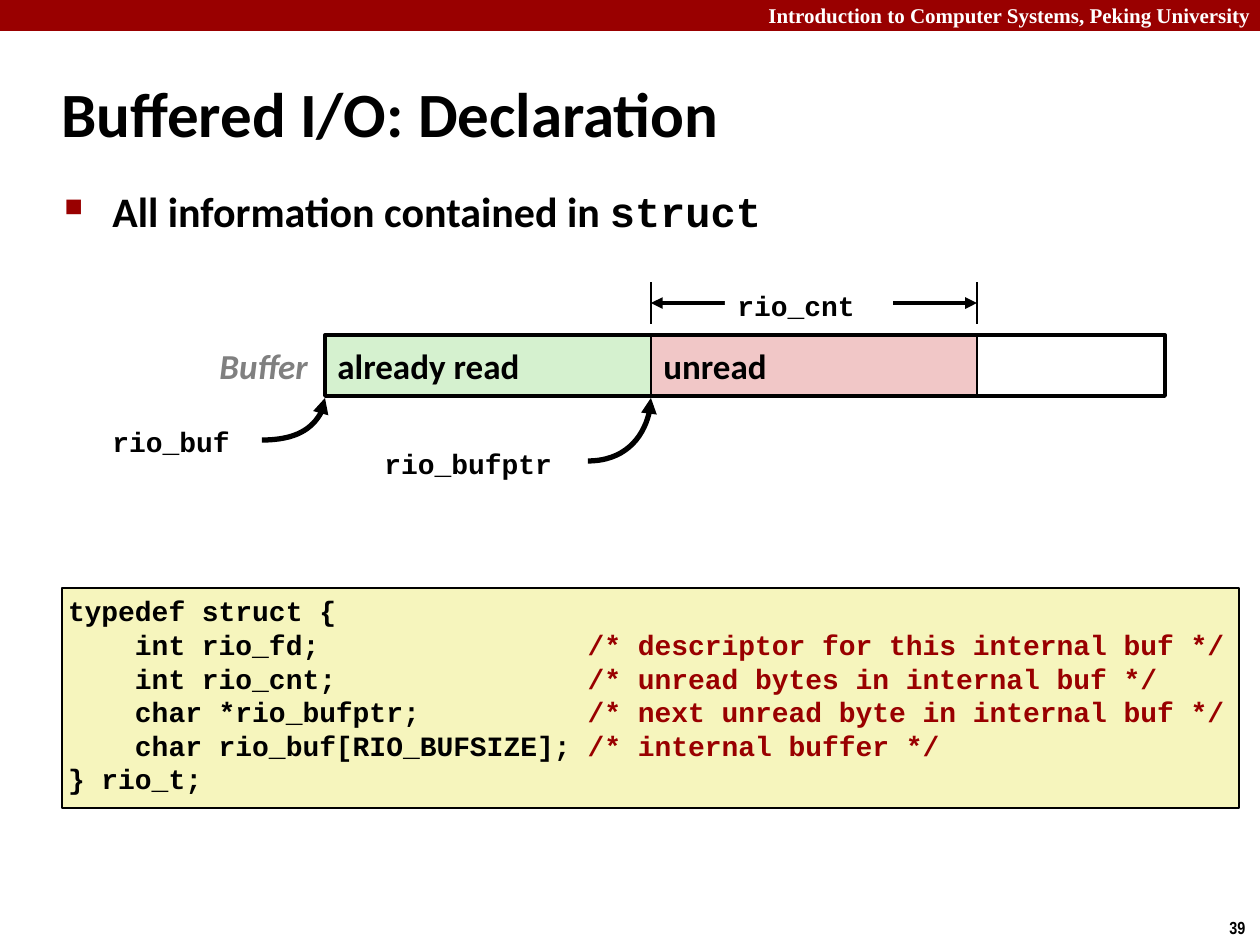
from dataclasses import dataclass

from lxml import etree
from pptx import Presentation
from pptx import util as u
from pptx.dml.color import RGBColor
from pptx.enum import shapes, text
from pptx.oxml.ns import qn


@dataclass(frozen=True)
class Theme:
    """Colours, fonts and type sizes of the slide."""
    red: str = "990000"
    black: str = "000000"
    white: str = "FFFFFF"
    grey: str = "808080"
    green: str = "D5F1CF"
    pink: str = "F1C7C7"
    cream: str = "F6F5BD"
    body: str = "Calibri"
    code: str = "Courier New"
    header: str = "Times New Roman"
    number: str = "Arial Narrow"
    title_size: int = 36
    bullet_size: int = 24
    label_size: int = 20
    code_size: int = 16
    header_size: int = 12
    number_size: int = 10


THEME = Theme()
RECTANGLE = shapes.MSO_SHAPE.RECTANGLE
BUFFER_LEFT, BUFFER_TOP, BUFFER_HEIGHT = 325, 335, 61
PART_WIDTH, BUFFER_WIDTH = 326, 840
UNREAD_LEFT = BUFFER_LEFT + PART_WIDTH
UNREAD_RIGHT = UNREAD_LEFT + PART_WIDTH
STRUCT_LINES = [
    ("typedef struct {", ""),
    ("    int rio_fd;", "/* descriptor for this internal buf */"),
    ("    int rio_cnt;", "/* unread bytes in internal buf */"),
    ("    char *rio_bufptr;", "/* next unread byte in internal buf */"),
    ("    char rio_buf[RIO_BUFSIZE];", "/* internal buffer */"),
    ("} rio_t;", ""),
]
COMMENT_COLUMN = 31


def px(length):
    """Turn a length in px into EMU."""
    return u.Emu(round(length * 914400 / 126))


def write(paragraph, words, font=THEME.body, size=THEME.label_size,
          color=THEME.black, italic=False):
    """Add one bold formatted run to a paragraph."""
    run = paragraph.add_run()
    run.text = words
    run.font.name = font
    run.font.size = u.Pt(size)
    run.font.bold = True
    run.font.italic = italic
    run.font.color.rgb = RGBColor.from_string(color)


def prepare_frame(shape, middle=False, wrap=True, inset=None):
    """Set up a text frame and return its first paragraph."""
    frame = shape.text_frame
    frame.word_wrap = wrap
    frame.vertical_anchor = text.MSO_ANCHOR.MIDDLE if middle else text.MSO_ANCHOR.TOP
    if inset is not None:
        frame.margin_left = frame.margin_right = px(inset)
        frame.margin_top = frame.margin_bottom = px(inset)
    paragraph = frame.paragraphs[0]
    paragraph.alignment = text.PP_ALIGN.LEFT
    return paragraph


def add_label(slide, box, words, middle=False, wrap=True, **style):
    """Add a text box with one run and return its paragraph."""
    shape = slide.shapes.add_textbox(*map(px, box))
    paragraph = prepare_frame(shape, middle, wrap)
    write(paragraph, words, **style)
    return paragraph


def add_box(slide, box, fill=None, line=None):
    """Add a rectangle with an optional fill and black outline."""
    shape = slide.shapes.add_shape(RECTANGLE, *map(px, box))
    shape.shadow.inherit = False
    if fill:
        shape.fill.solid()
        shape.fill.fore_color.rgb = RGBColor.from_string(fill)
    else:
        shape.fill.background()
    if line:
        style_line(shape, line)
    else:
        shape.line.fill.background()
    return shape


def style_line(shape, width, ends=()):
    """Give a shape a black line with arrowheads at the named ends."""
    shape.line.color.rgb = RGBColor.from_string(THEME.black)
    shape.line.width = u.Pt(width)
    outline = shape._element.spPr.find(qn("a:ln"))
    for end in ends:
        etree.SubElement(outline, qn(f"a:{end}"), type="triangle")


def add_line(slide, start, finish, width, ends=()):
    """Add a straight connector without a shadow."""
    points = map(px, (*start, *finish))
    connector = slide.shapes.add_connector(shapes.MSO_CONNECTOR.STRAIGHT, *points)
    style_line(connector, width, ends)
    etree.SubElement(connector._element.spPr, qn("a:effectLst"))


def add_pointer(slide, tip, width, height):
    """Add a quarter-ellipse arrow that rises to its tip."""
    x, y = tip
    bend = 0.55
    points = [(x, y + height * bend), (x - width * (1 - bend), y + height),
              (x - width, y + height)]
    builder = slide.shapes.build_freeform(px(x), px(y))
    builder.add_line_segments([(px(a), px(b)) for a, b in points], close=False)
    shape = builder.convert_to_shape()
    path = next(shape._element.iter(qn("a:path")))
    curve = etree.SubElement(path, qn("a:cubicBezTo"))
    for segment in path.findall(qn("a:lnTo")):
        curve.append(segment[0])
        path.remove(segment)
    shape.shadow.inherit = False
    shape.fill.background()
    style_line(shape, 3, ["headEnd"])


def add_bullet(paragraph):
    """Give a paragraph a hanging red square bullet."""
    properties = paragraph._p.get_or_add_pPr()
    properties.set("marL", str(px(48)))
    properties.set("indent", str(px(-48)))
    color = etree.SubElement(properties, qn("a:buClr"))
    etree.SubElement(color, qn("a:srgbClr"), val=THEME.red)
    etree.SubElement(properties, qn("a:buSzPct"), val="60000")
    etree.SubElement(properties, qn("a:buChar"), char="■")


def add_page_text(slide):
    """Add the header band, page number, title and bullet."""
    add_box(slide, (0, 0, 1260, 31), THEME.red)
    add_label(slide, (756, -4, 513, 38), "Introduction to Computer Systems, Peking University",
              font=THEME.header, size=THEME.header_size, color=THEME.white)
    add_label(slide, (1217, 911, 43, 34), "39", wrap=False,
              font=THEME.number, size=THEME.number_size)
    add_label(slide, (49, 60, 1046, 105), "Buffered I/O: Declaration", middle=True,
              size=THEME.title_size)
    bullet = add_label(slide, (52, 179, 1145, 83), "All information contained in ",
                       size=THEME.bullet_size)
    write(bullet, "struct", font=THEME.code, size=THEME.bullet_size)
    add_bullet(bullet)


def add_struct(slide):
    """Add the code panel with coloured comments."""
    panel = add_box(slide, (62, 588, 1177, 220), THEME.cream, 1)
    paragraph = prepare_frame(panel, inset=6)
    style = {"font": THEME.code, "size": THEME.code_size}
    for index, (code, comment) in enumerate(STRUCT_LINES):
        if index:
            paragraph = panel.text_frame.add_paragraph()
            paragraph.alignment = text.PP_ALIGN.LEFT
        write(paragraph, code.ljust(COMMENT_COLUMN) if comment else code, **style)
        if comment:
            write(paragraph, comment, color=THEME.red, **style)


def add_buffer(slide):
    """Add the buffer diagram with its pointers and count."""
    code = {"font": THEME.code, "size": THEME.code_size}
    for left, words, fill in ((UNREAD_LEFT, "unread", THEME.pink),
                              (BUFFER_LEFT, "already read", THEME.green)):
        part = add_box(slide, (left, BUFFER_TOP, PART_WIDTH, BUFFER_HEIGHT), fill, 1.5)
        write(prepare_frame(part, middle=True), words)
    add_box(slide, (BUFFER_LEFT, BUFFER_TOP, BUFFER_WIDTH, BUFFER_HEIGHT), line=2.25)
    add_label(slide, (207, 338, 117, 55), "Buffer", wrap=False,
              color=THEME.grey, italic=True)
    add_pointer(slide, (BUFFER_LEFT, 398), 63, 42)
    add_pointer(slide, (UNREAD_LEFT, 398), 63, 63)
    add_label(slide, (100, 418, 144, 43), "rio_buf", wrap=False, **code)
    add_label(slide, (372, 440, 220, 43), "rio_bufptr", **code)
    for x in (UNREAD_LEFT, UNREAD_RIGHT):
        add_line(slide, (x, 324), (x, 282), 1.5)
    add_line(slide, (UNREAD_LEFT, 303), (UNREAD_RIGHT, 303), 2.25, ["headEnd", "tailEnd"])
    count = add_box(slide, (725, 282, 168, 43), THEME.white)
    write(prepare_frame(count), "rio_cnt", **code)


def main():
    """Build and save the slide."""
    presentation = Presentation()
    presentation.slide_width, presentation.slide_height = px(1260), px(945)
    slide = presentation.slides.add_slide(presentation.slide_layouts[6])
    add_page_text(slide)
    add_struct(slide)
    add_buffer(slide)
    presentation.save("out.pptx")


if __name__ == "__main__":
    main()
